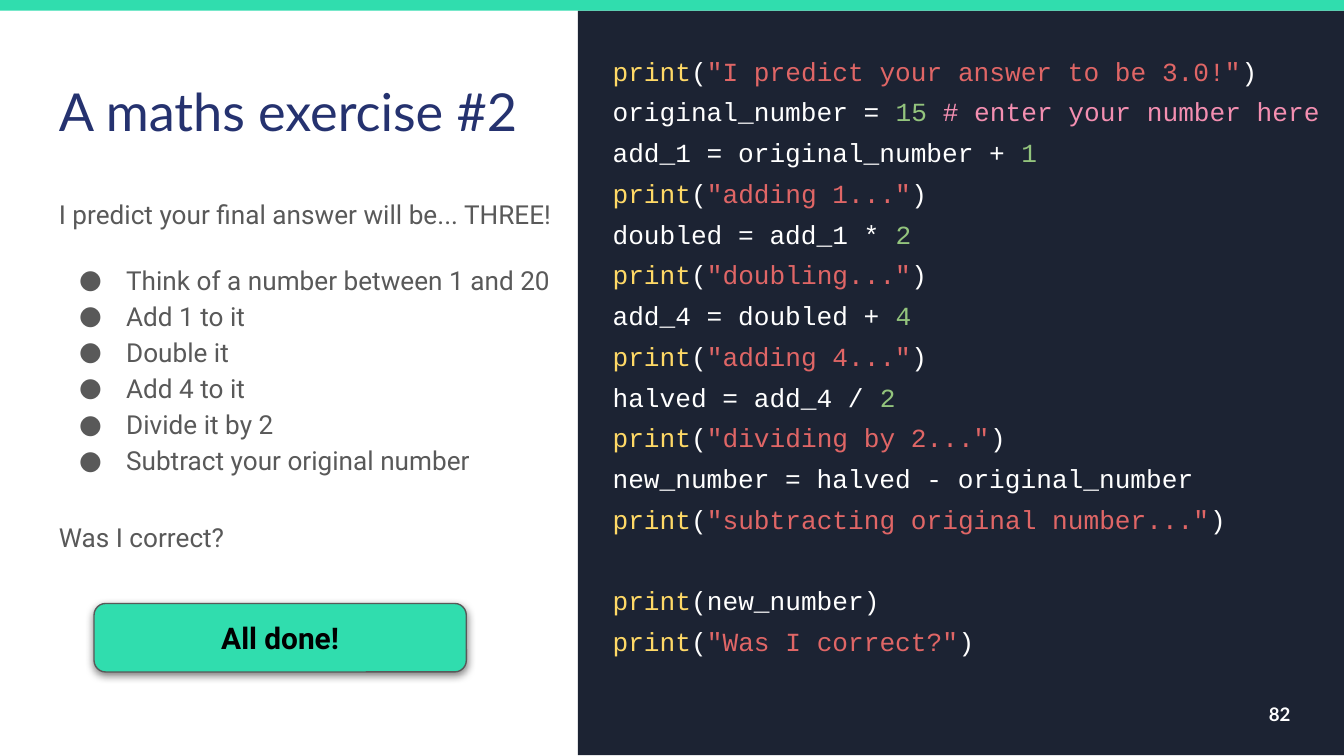
from lxml import etree
from pptx import Presentation
from pptx.dml.color import RGBColor
from pptx.enum import shapes, text
from pptx.oxml import ns
from pptx.util import Inches, Pt

COLORS = {
    "panel": "1C2333", "accent": "30DDAE", "title": "25326F", "body": "595959",
    "function": "FFD966", "plain": "FFFFFF", "string": "E06666",
    "number": "93C47D", "comment": "F48FB1", "black": "000000",
}


def set_values(target, values):
    for name, value in values.items():
        setattr(target, name, value)


def add_element(parent, tag, **attributes):
    return etree.SubElement(parent, ns.qn(tag), attributes)


def call(argument, kind="string"):
    if kind == "plain":
        return [("print", "function"), (f"({argument})", "plain")]
    return [("print", "function"), ("(", "plain"), (f'"{argument}"', kind), (")", "plain")]


def assign(code, number="", comment=""):
    parts = [(code, "plain"), (number, "number"), (comment, "comment")]
    return [part for part in parts if part[0]]


class SlideBuilder:
    margin = Inches(0.1)

    def __init__(self, presentation):
        self.slide = presentation.slides.add_slide(presentation.slide_layouts[6])

    def color(self, name):
        return RGBColor.from_string(COLORS[name])

    def box(self, left, top, width, height, fill, kind=shapes.MSO_SHAPE.RECTANGLE):
        shape = self.slide.shapes.add_shape(
            kind, Inches(left), Inches(top), Inches(width), Inches(height))
        shape.shadow.inherit = False
        shape.fill.solid()
        shape.fill.fore_color.rgb = self.color(fill)
        shape.line.fill.background()
        return shape

    def text_box(self, left, top, width, height, anchor=text.MSO_ANCHOR.TOP):
        shape = self.slide.shapes.add_textbox(
            Inches(left), Inches(top), Inches(width), Inches(height))
        return self.frame(shape, anchor)

    def frame(self, shape, anchor):
        sides = ("left", "top", "right", "bottom")
        values = {f"margin_{side}": self.margin for side in sides}
        set_values(shape.text_frame, {**values, "word_wrap": True, "vertical_anchor": anchor})
        return shape.text_frame

    def paragraph(self, frame, parts, font, bullet=False, **layout):
        first = frame.paragraphs[0]
        paragraph = frame.add_paragraph() if first.runs else first
        set_values(paragraph, layout)
        for content, color in parts:
            run = paragraph.add_run()
            run.text = content
            set_values(run.font, font)
            run.font.color.rgb = self.color(color)
        if bullet:
            self.bullet(paragraph, font["name"])

    def bullet(self, paragraph, typeface):
        properties = paragraph._p.get_or_add_pPr()
        properties.set("marL", str(Inches(0.5)))
        properties.set("indent", str(Inches(-0.35)))
        color = add_element(properties, "a:buClr")
        add_element(color, "a:srgbClr", val=COLORS["body"])
        add_element(properties, "a:buFont", typeface=typeface)
        add_element(properties, "a:buChar", char="●")

    def button(self, left, top, width, height, label, font):
        shape = self.box(left, top, width, height, "accent", shapes.MSO_SHAPE.ROUNDED_RECTANGLE)
        shape.adjustments[0] = 0.17
        shape.line.color.rgb = self.color("body")
        shape.line.width = Pt(0.75)
        effects = shape._element.spPr.find(ns.qn("a:effectLst"))
        shadow = add_element(effects, "a:outerShdw", blurRad=str(Pt(4.5)), dist=str(Pt(1.5)),
                             dir="5400000", algn="bl", rotWithShape="0")
        color = add_element(shadow, "a:srgbClr", val=COLORS["black"])
        add_element(color, "a:alpha", val="50000")
        frame = self.frame(shape, text.MSO_ANCHOR.MIDDLE)
        self.paragraph(frame, [(label, "black")], font, alignment=text.PP_ALIGN.CENTER)


CODE = [
    call("I predict your answer to be 3.0!"),
    assign("original_number = ", "15 ", "# enter your number here"),
    assign("add_1 = original_number + ", "1"),
    call("adding 1..."),
    assign("doubled = add_1 * ", "2"),
    call("doubling..."),
    assign("add_4 = doubled + ", "4"),
    call("adding 4..."),
    assign("halved = add_4 / ", "2"),
    call("dividing by 2..."),
    assign("new_number = halved - original_number"),
    call("subtracting original number..."),
]
RESULT = [call("new_number", "plain"), call("Was I correct?")]
STEPS = [
    "Think of a number between 1 and 20", "Add 1 to it", "Double it",
    "Add 4 to it", "Divide it by 2", "Subtract your original number",
]


def main():
    presentation = Presentation()
    width = Inches(10)
    set_values(presentation, {"slide_width": width, "slide_height": width * 9 // 16})
    builder = SlideBuilder(presentation)

    builder.box(4.3, 0.08, 5.7, 5.54, "panel")
    code_frame = builder.text_box(4.46, 0.24, 5.54, 5.23)
    code_font = {"name": "Courier New", "size": Pt(14)}
    for index, parts in enumerate(CODE + RESULT):
        gap = Pt(21.8) if index == len(CODE) else Pt(0)
        builder.paragraph(code_frame, parts, code_font, line_spacing=1.3, space_before=gap)

    title_frame = builder.text_box(0.34, 0.49, 4.99, 0.63)
    builder.paragraph(title_frame, [("A maths exercise #2", "title")],
                      {"name": "Lato", "size": Pt(28)})

    number_frame = builder.text_box(9.1, 5.1, 0.6, 0.43, text.MSO_ANCHOR.MIDDLE)
    builder.paragraph(number_frame, [("82", "plain")],
                      {"name": "Lato", "size": Pt(10), "bold": True},
                      alignment=text.PP_ALIGN.RIGHT)

    builder.box(-0.01, 0, 10.02, 0.08, "accent")

    body_frame = builder.text_box(0.34, 1.26, 3.96, 3.74)
    body_font = {"name": "Roboto", "size": Pt(14)}
    builder.paragraph(body_frame, [("I predict your final answer will be... THREE!", "body")],
                      body_font, line_spacing=1.5)
    for index, step in enumerate(STEPS):
        builder.paragraph(body_frame, [(step, "body")], body_font, bullet=True,
                          line_spacing=1.15, space_before=Pt(0 if index else 16))
    builder.paragraph(body_frame, [("Was I correct?", "body")], body_font,
                      line_spacing=1.5, space_before=Pt(16), space_after=Pt(16))

    builder.button(0.7, 4.49, 2.77, 0.51, "All done!",
                   {"name": "Roboto", "size": Pt(16), "bold": True})
    presentation.save("out.pptx")


if __name__ == "__main__":
    main()
